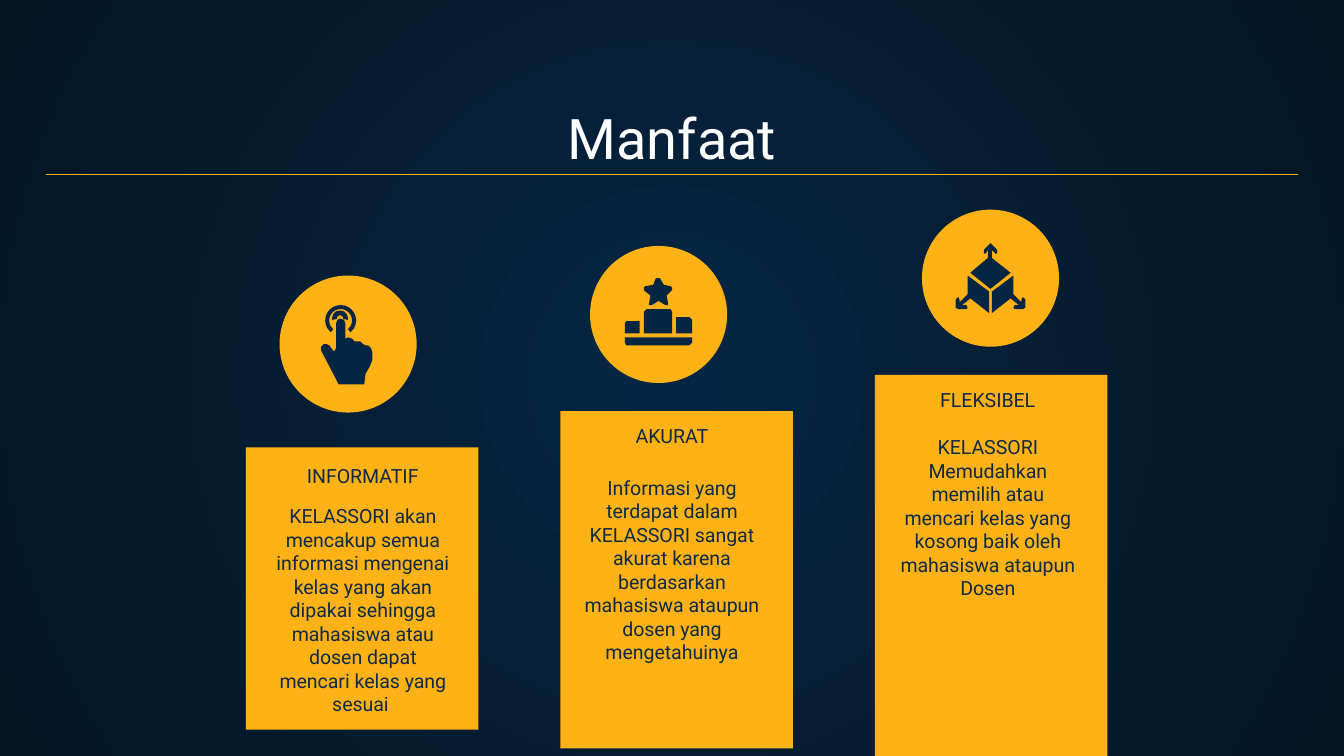
from dataclasses import dataclass

from lxml import etree
from pptx import Presentation, util as u
from pptx.dml.color import RGBColor
from pptx.enum import shapes as sh, text as tx
from pptx.oxml.ns import qn

NAVY = RGBColor(0x05, 0x26, 0x43)
NIGHT = RGBColor(0x04, 0x15, 0x23)
AMBER = RGBColor(0xFF, 0xB2, 0x15)
INK = RGBColor(0x0E, 0x2A, 0x47)
WHITE = RGBColor(0xFF, 0xFF, 0xFF)

# Grid in inches, on a 16:9 slide
SLIDE_W = 10
SLIDE_H = SLIDE_W * 9 / 16
MARGIN = 0.34
CARD_LEFT, CARD_PITCH, CARD_W = 1.83, 2.34, 1.73
HEADING_W, HEADING_H = 2.27, 0.21
BODY_W = 1.52
DISC = 1.02
HUNDREDTH = u.Inches(0.01)

Points = list[tuple[int, int]]


@dataclass
class Benefit:
    heading: str
    body: str
    top: float
    height: float
    heading_top: float
    body_top: float
    body_height: float
    text_center: float
    disc_left: float
    disc_top: float


@dataclass
class Ring:
    left: float
    top: float
    width: float
    height: float
    start: float
    end: float
    thickness: float


BENEFITS = [
    Benefit("INFORMATIF",
            "KELASSORI akan mencakup semua informasi mengenai kelas yang akan "
            "dipakai sehingga mahasiswa atau dosen dapat mencari kelas yang sesuai ",
            3.33, 2.1, 3.52, 3.65, 1.21, 2.7, 2.08, 2.05),
    Benefit("AKURAT",
            "Informasi yang terdapat dalam KELASSORI sangat akurat karena "
            "berdasarkan mahasiswa ataupun dosen yang mengetahuinya",
            3.06, 2.51, 3.22, 3.44, 0.94, 5, 4.39, 1.83),
    Benefit("FLEKSIBEL",
            "KELASSORI Memudahkan memilih atau mencari kelas yang kosong baik "
            "oleh mahasiswa ataupun Dosen",
            2.79, 2.86, 2.95, 3.14, 0.93, 7.35, 6.86, 1.56),
]

# Icon outlines in hundredths of an inch
HAND = [(253, 237), (251, 238), (250, 241), (250, 259), (249, 261), (248, 261),
        (245, 257), (243, 256), (241, 256), (239, 258), (239, 261), (252, 286),
        (271, 286), (272, 278), (275, 273), (277, 268), (277, 262), (276, 259),
        (274, 257), (272, 257), (270, 256), (268, 254), (264, 254), (262, 252),
        (259, 251), (257, 252), (257, 241), (256, 238)]
PODIUM = [
    [(465, 240), (466, 239), (476, 239), (476, 248), (465, 248)],
    [(479, 232), (481, 230), (499, 230), (500, 232), (500, 248), (479, 248)],
    [(503, 236), (513, 236), (515, 238), (515, 248), (503, 248)],
    [(465, 251), (515, 251), (515, 255), (513, 257), (466, 257), (465, 255)],
]
STAR = [(490, 207), (488, 207), (486, 212), (480, 213), (479, 214), (479, 216),
        (484, 220), (483, 225), (483, 227), (485, 227), (490, 224), (495, 227),
        (497, 227), (497, 225), (496, 220), (500, 216), (500, 214), (499, 213),
        (494, 212), (491, 207)]
CUBE_TOP = [(737, 181), (736, 182), (732, 186), (732, 188), (733, 189), (734, 188),
            (735, 186), (735, 192), (722, 203), (737, 215), (752, 203), (738, 192),
            (738, 186), (740, 188), (741, 189), (742, 188), (742, 186), (738, 182)]
CUBE_RIGHT = [(754, 205), (738, 217), (738, 233), (752, 222), (758, 227), (755, 227),
              (754, 229), (755, 230), (761, 230), (763, 229), (763, 223), (761, 221),
              (760, 223), (760, 225), (754, 219)]
CUBE_MIRROR = 2 * 737
CUBE_LEFT = [(CUBE_MIRROR - x, y) for x, y in CUBE_RIGHT]
TOUCH_RINGS = [Ring(2.42, 2.27, 0.23, 0.23, 130, 50, 0.13),
               Ring(2.47, 2.31, 0.12, 0.12, 170, 10, 0.3)]


def paint(shape, color: RGBColor) -> None:
    shape.shadow.inherit = False
    shape.fill.solid()
    shape.fill.fore_color.rgb = color
    shape.line.fill.background()


def add_preset(kind, left: float, top: float, width: float, height: float, color: RGBColor):
    shape = slide.shapes.add_shape(kind, *map(u.Inches, (left, top, width, height)))
    paint(shape, color)
    return shape


def add_outline(points: Points) -> None:
    builder = slide.shapes.build_freeform(*points[0], scale=HUNDREDTH)
    builder.add_line_segments(points[1:], close=True)
    paint(builder.convert_to_shape(), NAVY)


def add_ring(ring: Ring) -> None:
    arc = add_preset(sh.MSO_SHAPE.BLOCK_ARC, ring.left, ring.top, ring.width, ring.height, NAVY)
    # Angles are stored in 1/60000 degree, adjustments in 1/100000
    arc.adjustments[0] = ring.start * 0.6
    arc.adjustments[1] = ring.end * 0.6
    arc.adjustments[2] = ring.thickness


def write(box, words: str, size: float, color: RGBColor, anchor) -> None:
    frame = box.text_frame
    frame.word_wrap = True
    frame.auto_size = tx.MSO_AUTO_SIZE.NONE
    frame.vertical_anchor = anchor
    frame.margin_left = frame.margin_right = u.Inches(0.1)
    frame.margin_top = frame.margin_bottom = u.Inches(0.1)
    paragraph = frame.paragraphs[0]
    paragraph.alignment = tx.PP_ALIGN.CENTER
    run = paragraph.add_run()
    run.text = words
    run.font.name, run.font.size = "Roboto", u.Pt(size)
    run.font.color.rgb = color


def add_label(center: float, top: float, width: float, height: float, words: str, anchor) -> None:
    box = slide.shapes.add_textbox(*map(u.Inches, (center - width / 2, top, width, height)))
    write(box, words, 10.5, INK, anchor)


def add_benefit(column: int, benefit: Benefit) -> None:
    add_preset(sh.MSO_SHAPE.RECTANGLE, CARD_LEFT + column * CARD_PITCH, benefit.top,
               CARD_W, benefit.height, AMBER)
    add_label(benefit.text_center, benefit.heading_top, HEADING_W, HEADING_H,
              benefit.heading, tx.MSO_ANCHOR.BOTTOM)
    add_label(benefit.text_center, benefit.body_top, BODY_W, benefit.body_height,
              benefit.body, tx.MSO_ANCHOR.TOP)
    add_preset(sh.MSO_SHAPE.OVAL, benefit.disc_left, benefit.disc_top, DISC, DISC, AMBER)


deck = Presentation()
deck.slide_width, deck.slide_height = u.Inches(SLIDE_W), u.Inches(SLIDE_H)
slide = deck.slides.add_slide(deck.slide_layouts[5])

# Radial background
backdrop = slide.background.fill
backdrop.gradient()
for stop, color in zip(backdrop.gradient_stops, (NAVY, NIGHT)):
    stop.color.rgb = color
gradient = next(slide.element.iter(qn("a:gradFill")))
gradient.remove(gradient.find(qn("a:lin")))
circle = etree.SubElement(gradient, qn("a:path"))
circle.set("path", "circle")
center = etree.SubElement(circle, qn("a:fillToRect"))
for side in "ltrb":
    center.set(side, "50000")

# Title and rule
title = slide.shapes.title
title.left, title.top = u.Inches(MARGIN), u.Inches(0.71)
title.width, title.height = u.Inches(SLIDE_W - 2 * MARGIN), u.Inches(0.66)
write(title, "Manfaat", 30, WHITE, tx.MSO_ANCHOR.BOTTOM)
rule = slide.shapes.add_connector(sh.MSO_CONNECTOR.STRAIGHT, u.Inches(MARGIN), u.Inches(1.3),
                                  u.Inches(SLIDE_W - MARGIN), u.Inches(1.3))
rule.line.color.rgb, rule.line.width = AMBER, u.Pt(0.75)
etree.SubElement(rule.element.spPr, qn("a:effectLst"))

# Benefit columns
for column, benefit in enumerate(BENEFITS):
    add_benefit(column, benefit)

# Icons
for ring in TOUCH_RINGS:
    add_ring(ring)
for outline in [HAND, STAR, *PODIUM, CUBE_TOP, CUBE_LEFT, CUBE_RIGHT]:
    add_outline(outline)

deck.save("out.pptx")
